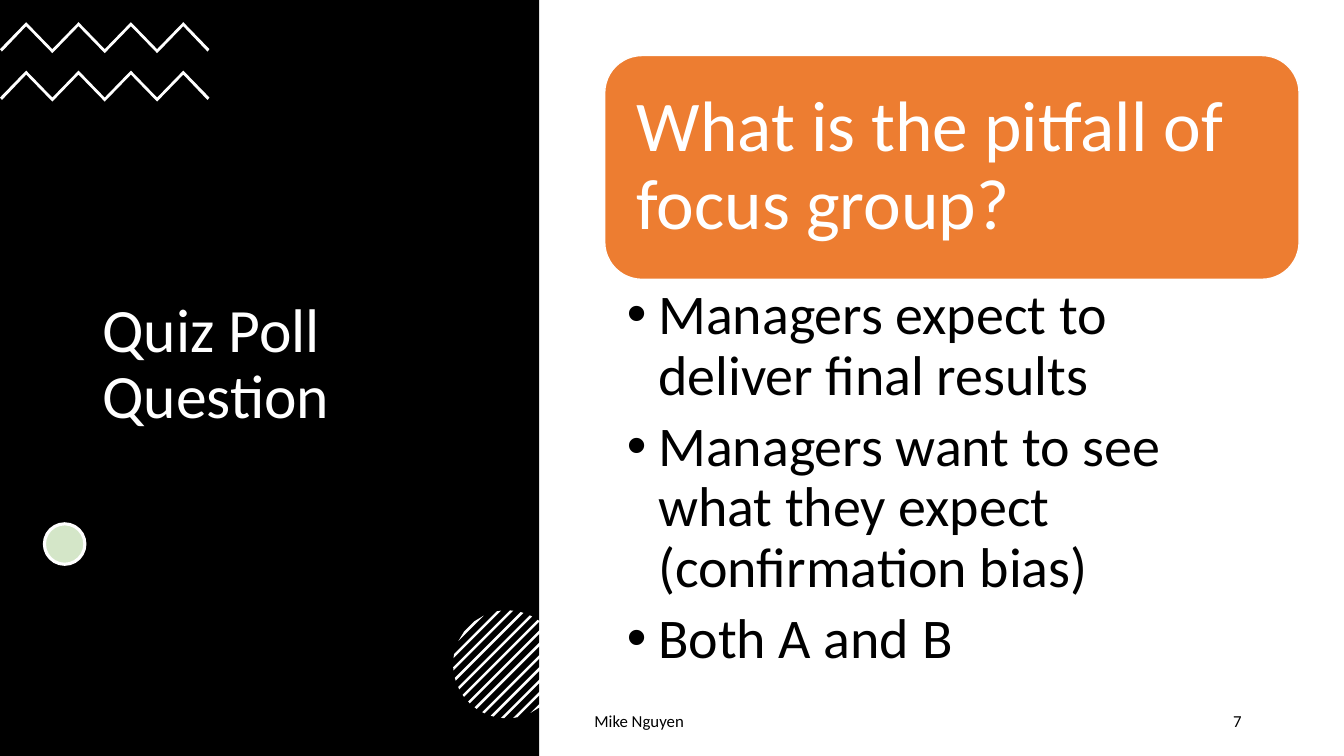
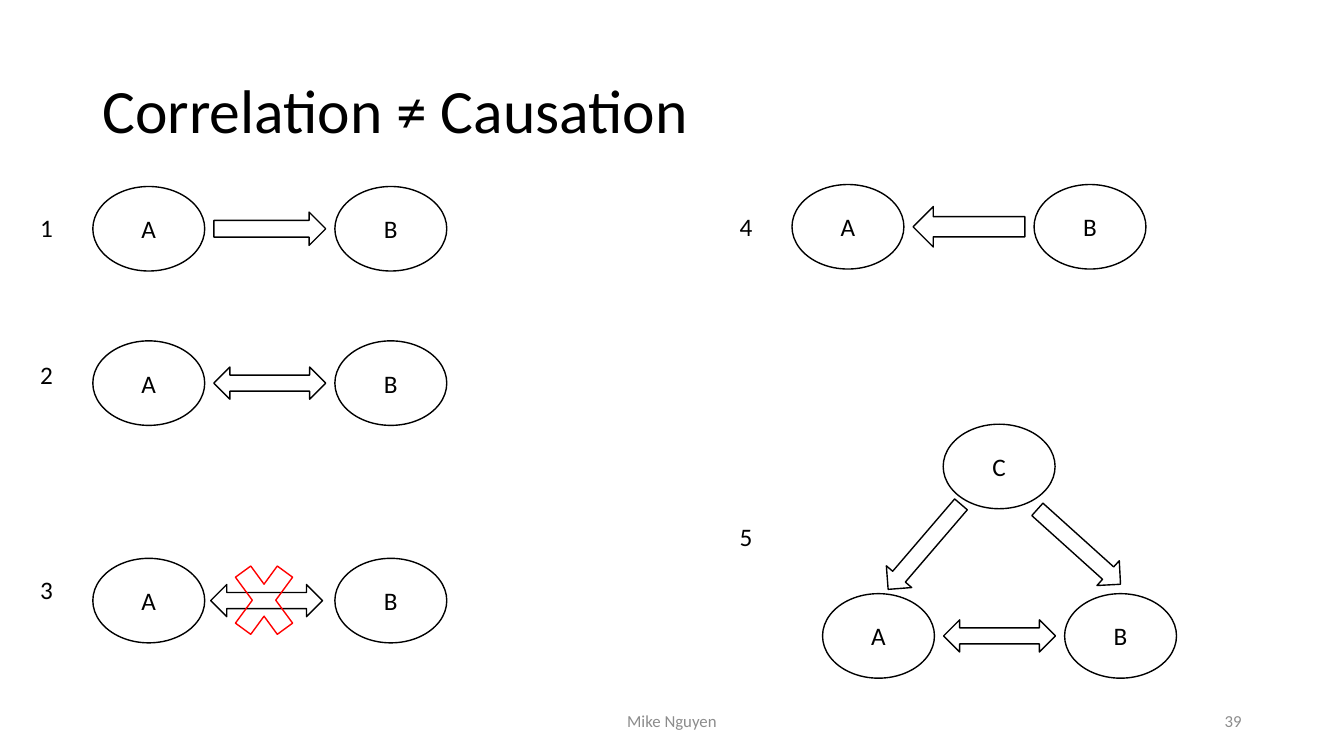
from math import sqrt
from lxml.etree import SubElement
from pptx import Presentation
from pptx.dml.color import RGBColor
from pptx.enum.shapes import MSO_SHAPE
from pptx.enum.text import MSO_ANCHOR, PP_ALIGN
from pptx.oxml.ns import qn
from pptx.util import Cm, Pt

FONT = "Calibri"
BLACK, WHITE, GREY = "000000", "FFFFFF", "8C8C8C"
ORANGE, GREEN, RED = "ED7D31", "D4E6C8", "FF0000"


def paint(shape, fill=None, line=None, width=1):
    shape.shadow.inherit = False
    if fill:
        shape.fill.solid()
        shape.fill.fore_color.rgb = RGBColor.from_string(fill)
    else:
        shape.fill.background()
    if line:
        shape.line.color.rgb = RGBColor.from_string(line)
        shape.line.width = Pt(width)
    else:
        shape.line.fill.background()


def write(shape, text, size, color=BLACK, align=PP_ALIGN.LEFT, anchor=MSO_ANCHOR.MIDDLE, spacing=1.0):
    frame = shape.text_frame
    frame.word_wrap = True
    frame.vertical_anchor = anchor
    frame.text = text
    for para in frame.paragraphs:
        para.alignment = align
        para.line_spacing = spacing
        for span in para.runs:
            span.font.name = FONT
            span.font.size = Pt(size)
            span.font.color.rgb = RGBColor.from_string(color)


deck = Presentation()
deck.slide_width, deck.slide_height = Cm(33.87), Cm(19.05)
question, causation = [deck.slides.add_slide(deck.slide_layouts[6]) for _ in range(2)]

panel = question.shapes.add_shape(MSO_SHAPE.RECTANGLE, 0, 0, Cm(13.59), deck.slide_height)
paint(panel, BLACK)

common = [
    (question, "Quiz Poll Question", (2.33, 3.33, 8.89, 11.76), WHITE,
     (14.73, 12.22), PP_ALIGN.LEFT, "7", BLACK),
    (causation, "Correlation ≠ Causation", (2.33, 1.01, 29.21, 3.68), BLACK,
     (11.22, 11.43), PP_ALIGN.CENTER, "39", GREY),
]
for page, title, title_box, title_color, (left, width), align, number, footer_color in common:
    box = page.shapes.add_textbox(*map(Cm, title_box))
    write(box, title, 44, title_color, spacing=0.9)
    footers = [("Mike Nguyen", left, width, align), (number, 23.92, 7.62, PP_ALIGN.RIGHT)]
    for text, footer_left, footer_width, footer_align in footers:
        box = page.shapes.add_textbox(Cm(footer_left), Cm(17.66), Cm(footer_width), Cm(1.01))
        write(box, text, 12, footer_color, footer_align)

outlines = []
for top in (0.56, 1.78):
    upper = [(0.66 * i, top if i % 2 else top + 0.68) for i in range(9)]
    lower = [(x, y + 0.1) for x, y in reversed(upper[1:-1])]
    outlines.append(upper + [(5.23, top + 0.74)] + lower + [(0.05, top + 0.74)])

center_x, center_y, radius = 12.78, 16.74, 1.36
for i in range(-6, 7):
    stripe = []
    for offset, side in ((-0.045, 1), (-0.045, -1), (0.045, -1), (0.045, 1)):
        distance = (0.31 * i + offset) / sqrt(2)
        reach = side * sqrt(radius ** 2 - distance ** 2)
        stripe.append((center_x + (distance + reach) / sqrt(2),
                       center_y + (distance - reach) / sqrt(2)))
    outlines.append(stripe)

for outline in outlines:
    points = [(Cm(x), Cm(y)) for x, y in outline]
    builder = question.shapes.build_freeform(*points[0])
    builder.add_line_segments(points[1:], close=True)
    paint(builder.convert_to_shape(), WHITE)

dot = question.shapes.add_shape(MSO_SHAPE.OVAL, Cm(1.12), Cm(13.2), Cm(1.02), Cm(1.02))
paint(dot, GREEN, WHITE, 2.25)

prompt = question.shapes.add_shape(MSO_SHAPE.ROUNDED_RECTANGLE, Cm(15.24), Cm(1.4), Cm(17.5), Cm(5.64))
paint(prompt, ORANGE, WHITE)
prompt.text_frame.margin_left = prompt.text_frame.margin_right = Cm(0.53)
write(prompt, "What is the pitfall of focus group?", 51, WHITE, spacing=0.9)

answers = question.shapes.add_textbox(Cm(15.24), Cm(7.04), Cm(17.5), Cm(10.57))
answers.text_frame.margin_left, answers.text_frame.margin_right = Cm(0.56), Cm(1.02)
answers.text_frame.margin_top = answers.text_frame.margin_bottom = Cm(0.18)
write(answers, "\n".join([
    "Managers expect to deliver final results",
    "Managers want to see what they expect (confirmation bias)",
    "Both A and B",
]), 40, anchor=MSO_ANCHOR.TOP, spacing=0.9)
for para in answers.text_frame.paragraphs:
    para.space_after = Pt(7.5)
    properties = para._p.get_or_add_pPr()
    properties.set("marL", str(Cm(0.79)))
    properties.set("indent", str(-Cm(0.79)))
    SubElement(properties, qn("a:buFont")).set("typeface", "Arial")
    SubElement(properties, qn("a:buChar")).set("char", "•")

NODE_WIDTH, NODE_HEIGHT, STEP = 2.82, 2.13, 3.05
RIGHT, LEFT, BOTH = MSO_SHAPE.RIGHT_ARROW, MSO_SHAPE.LEFT_ARROW, MSO_SHAPE.LEFT_RIGHT_ARROW
cases = [
    ("1", 0.76, 5.23, 2.34, 4.7, RIGHT, 0.84, 0),
    ("2", 0.76, 8.92, 2.34, 8.59, BOTH, 0.81, 0),
    ("3", 0.76, 14.35, 2.34, 14.07, BOTH, 0.81, -0.08),
    ("4", 18.39, 5.21, 19.96, 4.65, LEFT, 1.02, 0),
    ("5", 18.39, 13, 20.73, 14.96, BOTH, 0.81, 0),
]
nodes, arrows = [], []
for number, number_left, number_top, left, top, kind, height, shift in cases:
    box = causation.shapes.add_textbox(Cm(number_left), Cm(number_top), Cm(1.57), Cm(1.02))
    write(box, number, 18, anchor=MSO_ANCHOR.TOP)
    nodes += [("A", left, top), ("B", left + 2 * STEP, top)]
    arrows.append((kind, left + STEP + shift, top + (NODE_HEIGHT - height) / 2, height, 0))
nodes.append(("C", 23.77, 10.69))
arrows += [(RIGHT, 21.89, 13.36, 0.84, 130.6), (RIGHT, 25.78, 13.36, 0.84, 42)]

for letter, left, top in nodes:
    node = causation.shapes.add_shape(MSO_SHAPE.OVAL, Cm(left), Cm(top), Cm(NODE_WIDTH), Cm(NODE_HEIGHT))
    paint(node, line=BLACK)
    write(node, letter, 18, align=PP_ALIGN.CENTER)

for kind, left, top, height, angle in arrows:
    arrow = causation.shapes.add_shape(kind, Cm(left), Cm(top), Cm(NODE_WIDTH), Cm(height))
    arrow.rotation = angle
    paint(arrow, line=BLACK)

cross = causation.shapes.add_shape(MSO_SHAPE.MATH_MULTIPLY, Cm(5.64), Cm(13.74), Cm(2.03), Cm(2.77))
paint(cross, line=RED)

deck.save("out.pptx")
